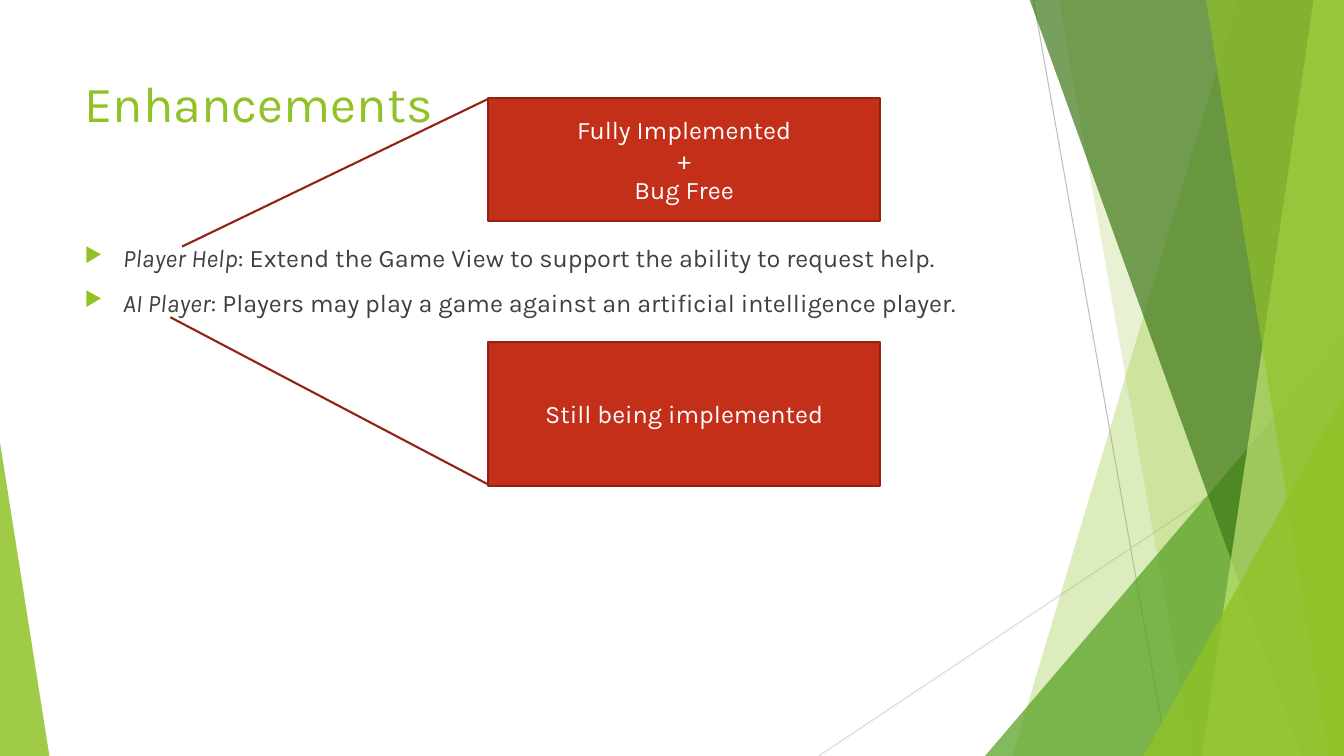
from lxml import etree
from pptx import Presentation
from pptx.dml.color import RGBColor
from pptx.enum.shapes import MSO_CONNECTOR, MSO_SHAPE
from pptx.enum.text import MSO_ANCHOR, PP_ALIGN
from pptx.oxml.ns import qn
from pptx.util import Inches, Pt

STRAIGHT = MSO_CONNECTOR.STRAIGHT
TRIANGLE = MSO_SHAPE.ISOSCELES_TRIANGLE
CALLOUT = MSO_SHAPE.LINE_CALLOUT_1
TOP, MIDDLE = MSO_ANCHOR.TOP, MSO_ANCHOR.MIDDLE
LEFT, CENTER = PP_ALIGN.LEFT, PP_ALIGN.CENTER

WIDTH, HEIGHT, BAND_TOP = 13.33, 7.5, -0.01
FONT = "Karla"
COLORS = {
    "lime": "90C226", "green": "54A021", "forest": "3F7819", "pale": "C0E474",
    "gray": "BFBFBF", "light_gray": "D9D9D9", "text": "404040",
    "white": "FFFFFF", "red": "C42F1A", "dark_red": "912313",
}


class FacetSlide:
    """Draws styled elements on the current slide."""

    def __init__(self, slide):
        self.slide = slide
        self.shapes = slide.shapes

    def color(self, name):
        return RGBColor.from_string(COLORS[name])

    def style_font(self, paragraph, size, color):
        paragraph.font.name = FONT
        paragraph.font.size = Pt(size)
        paragraph.font.color.rgb = self.color(color)

    def fill(self, shape, color, opacity=100):
        shape.shadow.inherit = False
        shape.fill.solid()
        shape.fill.fore_color.rgb = self.color(color)
        if opacity < 100:
            color_element = shape.fill._xPr.find(qn("a:solidFill"))[0]
            etree.SubElement(color_element, qn("a:alpha"), val=str(opacity * 1000))

    def line(self, start, end, color):
        connector = self.shapes.add_connector(
            STRAIGHT, *(Inches(value) for value in (*start, *end)))
        connector.line.color.rgb = self.color(color)
        connector.line.width = Pt(0.75)
        etree.SubElement(connector._element.spPr, qn("a:effectLst"))

    def band(self, top_left, bottom_left, color, opacity):
        corners = [(WIDTH, BAND_TOP), (WIDTH, HEIGHT), (bottom_left, HEIGHT)]
        builder = self.shapes.build_freeform(Inches(top_left), Inches(BAND_TOP))
        builder.add_line_segments([(Inches(x), Inches(y)) for x, y in corners])
        shape = builder.convert_to_shape()
        self.fill(shape, color, opacity)
        shape.line.fill.background()

    def triangle(self, box, apex, color, opacity):
        shape = self.shapes.add_shape(TRIANGLE, *map(Inches, box))
        shape.adjustments[0] = apex
        self.fill(shape, color, opacity)
        shape.line.fill.background()

    def title(self, text, box):
        title = self.shapes.title
        title.left, title.top, title.width, title.height = map(Inches, box)
        frame = title.text_frame
        frame.text = text
        frame.vertical_anchor = TOP
        frame.paragraphs[0].alignment = LEFT
        self.style_font(frame.paragraphs[0], 36, "lime")

    def bullets(self, items, box):
        frame = self.shapes.add_textbox(*map(Inches, box)).text_frame
        frame.word_wrap = True
        for index, (term, description) in enumerate(items):
            paragraph = frame.add_paragraph() if index else frame.paragraphs[0]
            paragraph.space_before = Pt(10)
            self.style_font(paragraph, 18, "text")
            term_run = paragraph.add_run()
            term_run.text = term
            term_run.font.italic = True
            paragraph.add_run().text = f": {description}"
            self.bullet_mark(paragraph)

    def bullet_mark(self, paragraph):
        properties = paragraph._p.get_or_add_pPr()
        properties.set("marL", str(Inches(0.38)))
        properties.set("indent", str(Inches(-0.38)))
        mark = [etree.Element(qn("a:buClr")),
                etree.Element(qn("a:buSzPct"), val="80000"),
                etree.Element(qn("a:buChar"), char="▶")]
        etree.SubElement(mark[0], qn("a:srgbClr"), val=COLORS["lime"])
        defaults = properties.find(qn("a:defRPr"))
        for element in mark:
            defaults.addprevious(element)

    def callout(self, text, box, pointer):
        shape = self.shapes.add_shape(CALLOUT, *map(Inches, box))
        for index, value in enumerate(pointer):
            shape.adjustments[index] = value
        self.fill(shape, "red")
        shape.line.color.rgb = self.color("dark_red")
        shape.line.width = Pt(1.5)
        frame = shape.text_frame
        frame.word_wrap = True
        frame.vertical_anchor = MIDDLE
        paragraph = frame.paragraphs[0]
        paragraph.text = text
        paragraph.alignment = CENTER
        self.style_font(paragraph, 18, "white")


def main():
    presentation = Presentation()
    presentation.slide_width = Inches(WIDTH)
    presentation.slide_height = Inches(HEIGHT)
    title_only = presentation.slide_layouts[5]
    page = FacetSlide(presentation.slides.add_slide(title_only))

    page.line((10.25, 0), (11.58, HEIGHT), "gray")
    page.line((WIDTH, 4.03), (8.12, HEIGHT), "light_gray")
    page.band(12.28, 10.04, "lime", 30)
    page.band(10.5, 11.83, "lime", 20)
    page.triangle((9.77, 3.33, 3.56, 4.17), 1, "green", 72)
    page.band(10.21, 12.91, "forest", 70)
    page.band(13.03, 11.92, "pale", 70)
    page.band(11.96, 13.18, "lime", 65)
    page.triangle((11.34, 3.93, 1.99, 3.57), 1, "lime", 80)
    page.triangle((0, 4.39, 0.49, 3.11), 0, "lime", 85)

    page.title("Enhancements", (0.74, 0.67, 9.4, 1.44))
    page.bullets([
        ("Player Help", "Extend the Game View to support the ability to request help."),
        ("AI Player", "Players may play a game against an artificial intelligence player."),
    ], (0.74, 2.36, 9.4, 4.24))
    page.callout("Fully Implemented\n+\nBug Free", (4.84, 0.97, 3.89, 1.22),
                 (0.01, 0, 1.21, -0.78))
    page.callout("Still being implemented", (4.84, 3.39, 3.89, 1.43),
                 (0.99, 0, -0.17, -0.81))
    presentation.save("out.pptx")


if __name__ == "__main__":
    main()
